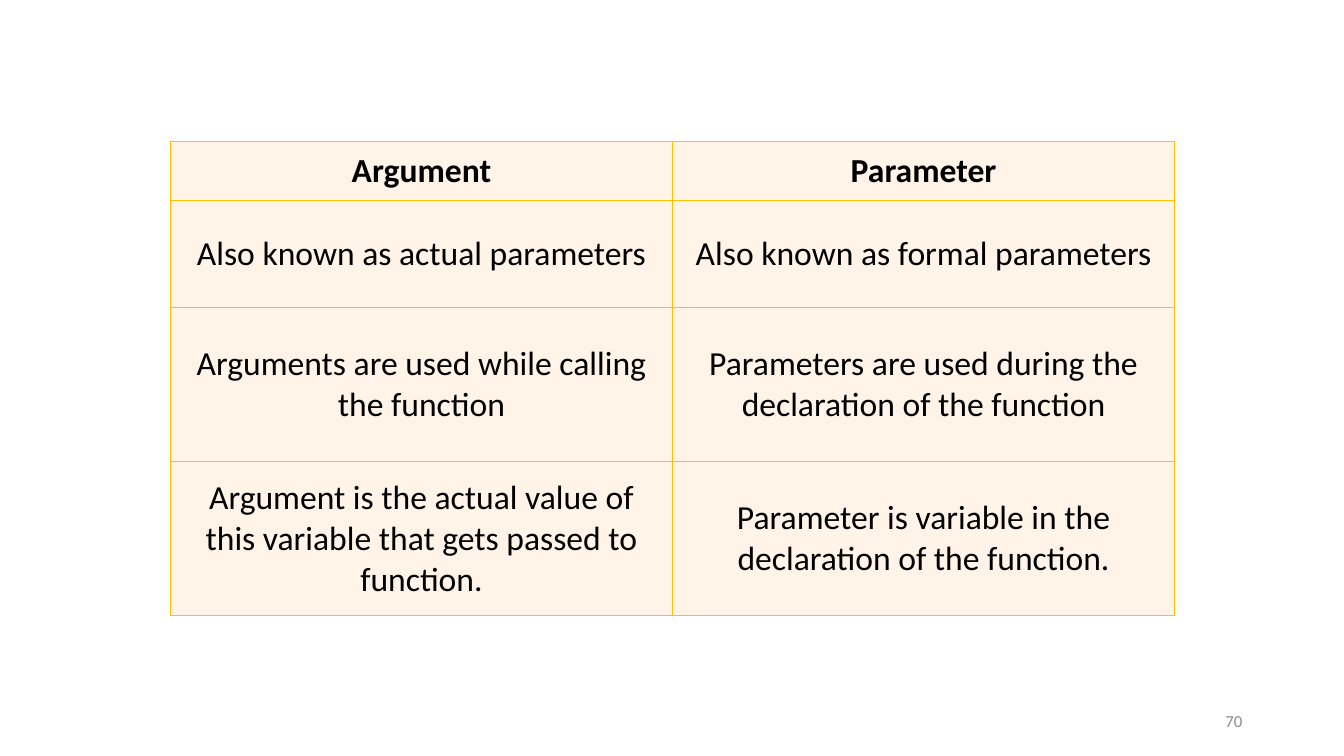
from lxml.etree import SubElement
from pptx import Presentation
from pptx.dml.color import RGBColor
from pptx.enum.text import MSO_ANCHOR as Anchor, PP_ALIGN as Align
from pptx.oxml.ns import qn
from pptx.util import Inches, Pt

BLACK = RGBColor(0x00, 0x00, 0x00)
GREY = RGBColor(0x8C, 0x8C, 0x8C)
CREAM = RGBColor(0xFF, 0xF4, 0xE7)
GOLD = RGBColor(0xFF, 0xC0, 0x00)

COMPARISON = [
    ("Argument", "Parameter"),
    ("Also known as actual parameters", "Also known as formal parameters"),
    ("Arguments are used while calling the function",
     "Parameters are used during the declaration of the function"),
    ("Argument is the actual value of this variable that gets passed to function.",
     "Parameter is variable in the declaration of the function."),
]
ROW_HEIGHTS = [0.59, 1.06, 1.53, 1.53]
COLUMN_WIDTH = 4.98


def write(frame, text, align, **font_format):
    paragraph = frame.paragraphs[0]
    paragraph.alignment = align
    run = paragraph.add_run()
    run.text = text
    run.font.name = "Calibri"
    color = font_format.pop("color")
    for attribute, value in font_format.items():
        setattr(run.font, attribute, value)
    run.font.color.rgb = color


def add_borders(cell, color, width):
    properties = cell._tc.get_or_add_tcPr()
    for side in ("lnL", "lnR", "lnT", "lnB"):
        border = SubElement(properties, qn(f"a:{side}"), w=str(width))
        fill = SubElement(border, qn("a:solidFill"))
        SubElement(fill, qn("a:srgbClr"), val=str(color))


deck = Presentation()
deck.slide_width, deck.slide_height = Inches(13.33), Inches(7.5)
slide = deck.slides.add_slide(deck.slide_layouts[6])

page_number = slide.shapes.add_textbox(
    Inches(9.42), Inches(6.95), Inches(3), Inches(0.4)).text_frame
page_number.word_wrap = True
page_number.vertical_anchor = Anchor.MIDDLE
write(page_number, "70", Align.RIGHT, size=Pt(12), color=GREY)

comparison = slide.shapes.add_table(
    len(COMPARISON), 2, Inches(1.69), Inches(1.4),
    Inches(2 * COLUMN_WIDTH), Inches(sum(ROW_HEIGHTS))).table
for column in comparison.columns:
    column.width = Inches(COLUMN_WIDTH)

for r, (texts, height) in enumerate(zip(COMPARISON, ROW_HEIGHTS)):
    comparison.rows[r].height = Inches(height)
    for c, text in enumerate(texts):
        cell = comparison.cell(r, c)
        cell.vertical_anchor = Anchor.MIDDLE
        add_borders(cell, GOLD, Pt(1))
        cell.fill.solid()
        cell.fill.fore_color.rgb = CREAM
        write(cell.text_frame, text, Align.CENTER,
              size=Pt(24), bold=r == 0, color=BLACK)

deck.save("out.pptx")
